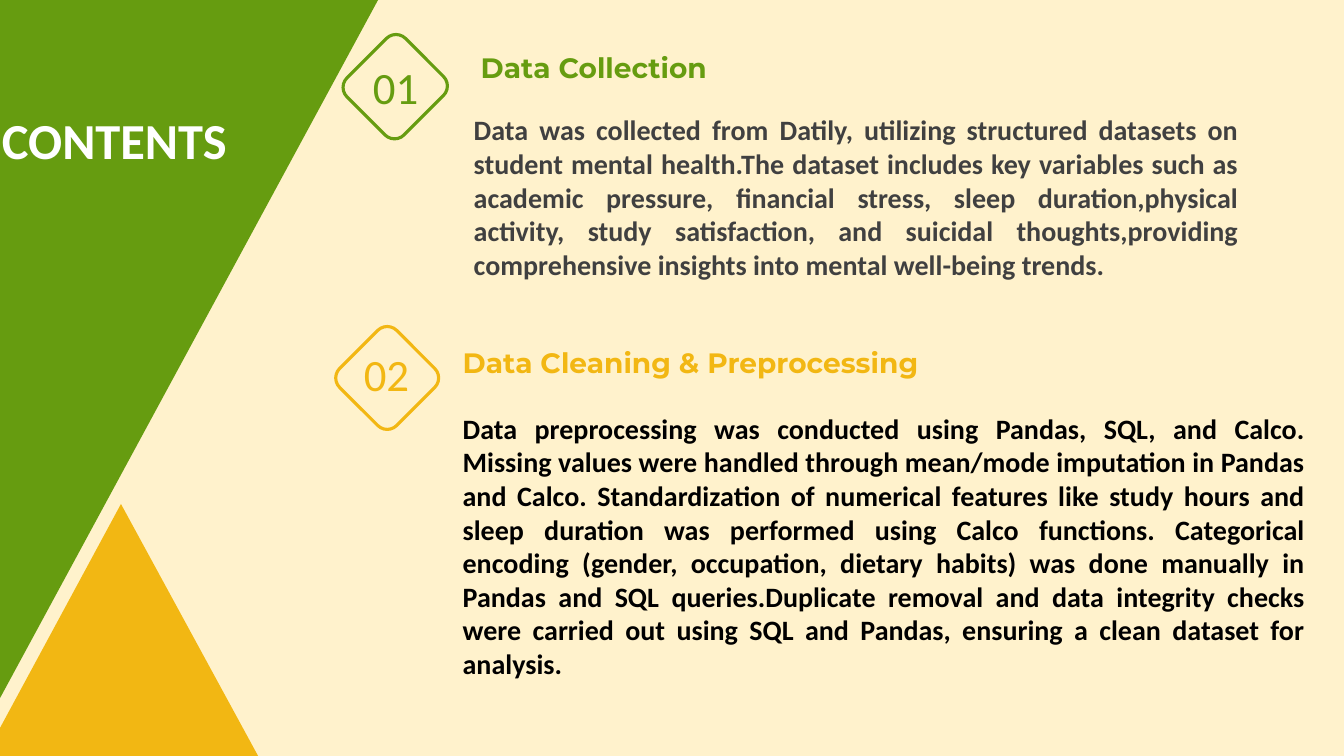
"""Builds the contents slide on data collection and preprocessing."""
from pptx import Presentation
from pptx.dml.color import RGBColor
from pptx.enum.shapes import MSO_SHAPE
from pptx.enum.text import PP_ALIGN
from pptx.util import Inches, Pt

GREEN = RGBColor(0x66, 0x9C, 0x10)
YELLOW = RGBColor(0xF2, 0xB7, 0x13)
CREAM = RGBColor(0xFF, 0xF2, 0xCC)
WHITE = RGBColor(0xFF, 0xFF, 0xFF)
GRAY = RGBColor(0x40, 0x40, 0x40)
BLACK = RGBColor(0x00, 0x00, 0x00)

BANDS = [
    (YELLOW, [(1.2, 5), (2.56, 7.5), (-0.15, 7.5)]),
    (GREEN, [(-2.51, 7.5), (-0.31, 7.5), (3.75, 0), (-2.51, 0)]),
]
TITLE = ("CONTENTS", (-0.58, 1.03, 3.43, 0.71))
SECTIONS = [
    {
        "accent": GREEN,
        "badge": (3.52, 0.45, 0.8, 0.82),
        "number": ("01", (3.6, 0.54, 0.66, 0.64)),
        "heading": ("Data Collection", (4.67, 0.45, 3.84, 0.43)),
        "body": (
            "Data was collected from Datily, utilizing structured datasets on student "
            "mental health.The dataset includes key variables such as academic pressure, "
            "financial stress, sleep duration,physical activity, study satisfaction, and "
            "suicidal thoughts,providing comprehensive insights into mental well-being trends.",
            (4.6, 1.07, 7.78, 2.12),
        ),
        "body_color": GRAY,
    },
    {
        "accent": YELLOW,
        "badge": (3.44, 3.35, 0.8, 0.8),
        "number": ("02", (3.51, 3.39, 0.66, 0.64)),
        "heading": ("Data Cleaning & Preprocessing", (4.49, 3.38, 6.16, 0.74)),
        "body": (
            "Data preprocessing was conducted using Pandas, SQL, and Calco. Missing values "
            "were handled through mean/mode imputation in Pandas and Calco. Standardization "
            "of numerical features like study hours and sleep duration was performed using "
            "Calco functions. Categorical encoding (gender, occupation, dietary habits) was "
            "done manually in Pandas and SQL queries.Duplicate removal and data integrity "
            "checks were carried out using SQL and Pandas, ensuring a clean dataset for analysis.",
            (4.49, 4.03, 8.55, 2.28),
        ),
        "body_color": BLACK,
    },
]


def add_band(slide, color, corners):
    points = [(Inches(x), Inches(y)) for x, y in corners]
    builder = slide.shapes.build_freeform(*points[0])
    builder.add_line_segments(points[1:], close=True)
    band = builder.convert_to_shape()
    band.shadow.inherit = False
    band.fill.solid()
    band.fill.fore_color.rgb = color
    band.line.fill.background()


def add_badge(slide, box, color):
    badge = slide.shapes.add_shape(MSO_SHAPE.ROUNDED_RECTANGLE, *map(Inches, box))
    badge.rotation = 45
    badge.shadow.inherit = False
    badge.fill.background()
    badge.line.color.rgb = color
    badge.line.width = Pt(2.25)


def add_text(slide, content, size, color, bold=True, font="Calibri", align=PP_ALIGN.LEFT, wrap=True):
    text, box = content
    frame = slide.shapes.add_textbox(*map(Inches, box)).text_frame
    frame.word_wrap = wrap
    paragraph = frame.paragraphs[0]
    paragraph.text = text
    paragraph.alignment = align
    paragraph.font.name = font
    paragraph.font.size = Pt(size)
    paragraph.font.bold = bold
    paragraph.font.color.rgb = color


def main():
    deck = Presentation()
    deck.slide_width, deck.slide_height = Inches(13.33), Inches(7.5)
    slide = deck.slides.add_slide(deck.slide_layouts[6])
    slide.background.fill.solid()
    slide.background.fill.fore_color.rgb = CREAM
    for color, corners in BANDS:
        add_band(slide, color, corners)
    add_text(slide, TITLE, 36, WHITE, align=PP_ALIGN.CENTER)
    for section in SECTIONS:
        accent = section["accent"]
        add_badge(slide, section["badge"], accent)
        add_text(slide, section["number"], 32, accent, bold=False, wrap=False)
        add_text(slide, section["heading"], 20, accent, font="Montserrat")
        add_text(slide, section["body"], 20, section["body_color"], align=PP_ALIGN.JUSTIFY)
    deck.save("out.pptx")


if __name__ == "__main__":
    main()
